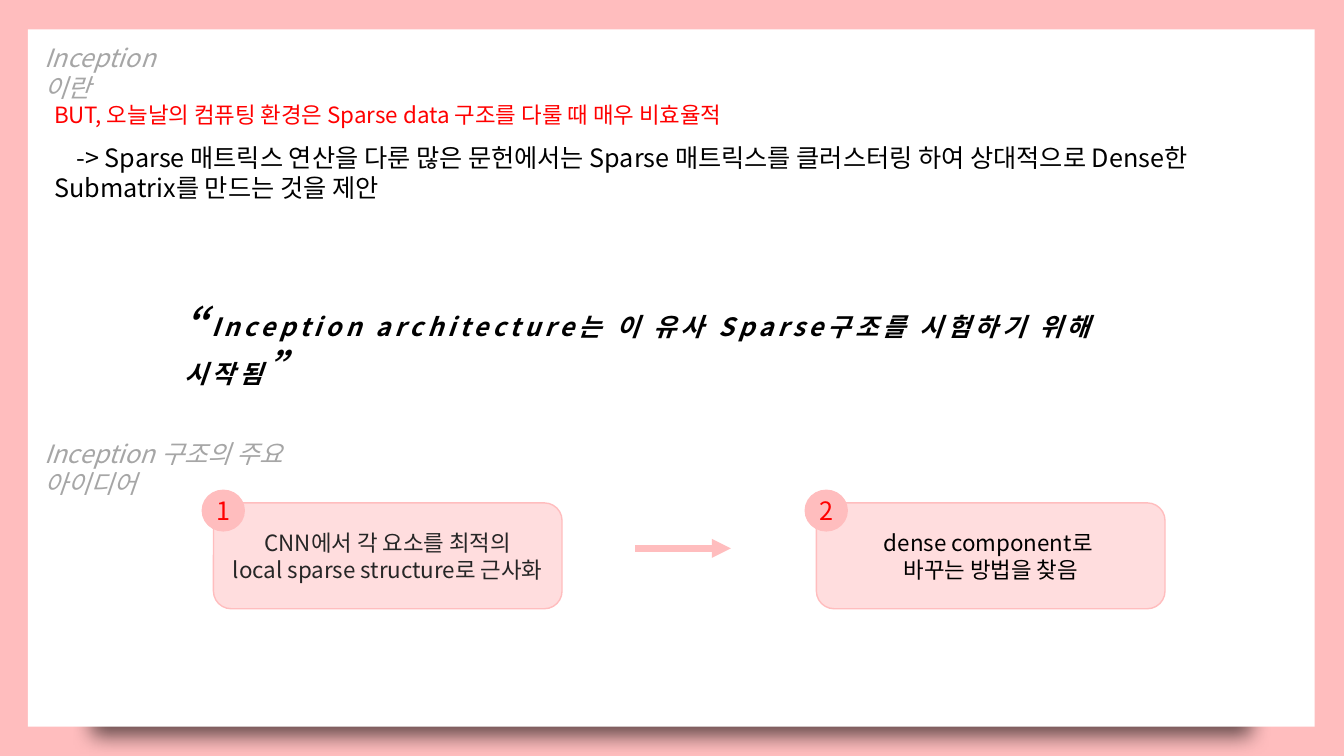
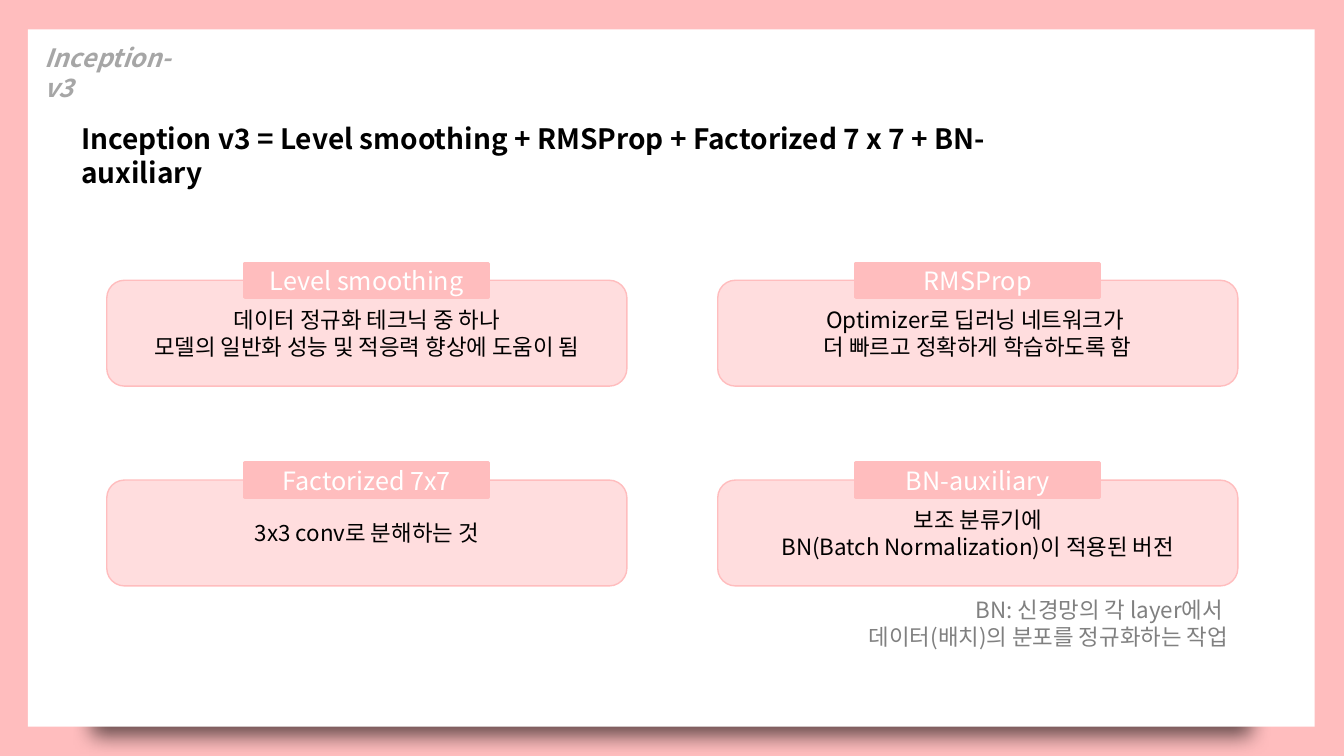
from lxml.etree import SubElement
from pptx import Presentation
from pptx.dml.color import RGBColor
from pptx.enum.shapes import MSO_CONNECTOR, MSO_SHAPE
from pptx.enum.text import MSO_ANCHOR, MSO_AUTO_SIZE, PP_ALIGN
from pptx.oxml.ns import qn
from pptx.util import Pt

FACE = "Noto Sans CJK KR"
HUES = {
    "rose": "FFBDBE", "blush": "FFDDDE", "white": "FFFFFF", "black": "000000",
    "dark": "262626", "red": "FF0000", "gray": "A6A6A6", "mid": "808080",
}
HEAD = {"size": Pt(18), "italic": True, "bold": False}
BODY = {"size": Pt(16)}
LARGE = {"size": Pt(18)}
QUOTE = {"size": Pt(18), "bold": True, "italic": True}
SHADE = {"blurRad": Pt(15), "dist": Pt(31), "dir": 5400000,
         "sx": 90000, "sy": 90000, "algn": "ctr", "rotWithShape": 0}


def hue(name):
    return RGBColor.from_string(HUES[name])


def place(shape, box):
    for key, val in zip(("left", "top", "width", "height"), box):
        setattr(shape, key, Pt(val))


def add_run(para, text, look, tint, track=0):
    run = para.add_run()
    run.text = text
    for key, val in look.items():
        setattr(run.font, key, val)
    run.font.color.rgb = hue(tint)
    run.font.name = FACE
    props = run.font._element
    SubElement(props, qn("a:ea")).set("typeface", FACE)
    if track:
        props.set("spc", str(track * 100))


def write(shape, lines, look, tint, align=PP_ALIGN.LEFT, anchor=MSO_ANCHOR.TOP):
    frame = shape.text_frame
    form = {"word_wrap": True, "auto_size": MSO_AUTO_SIZE.NONE,
            "vertical_anchor": anchor}
    for key, val in form.items():
        setattr(frame, key, val)
    for num, line in enumerate(lines):
        para = frame.add_paragraph() if num else frame.paragraphs[0]
        para.alignment = align
        add_run(para, line, look, tint)
    return frame


def label(slide, box, lines, look, tint, align=PP_ALIGN.LEFT):
    return write(slide.shapes.add_textbox(*map(Pt, box)), lines, look, tint, align)


def panel(slide, kind, box, fill, edge=None, width=1):
    shape = slide.shapes.add_shape(kind, *map(Pt, box))
    shape.shadow.inherit = False
    shape.fill.solid()
    shape.fill.fore_color.rgb = hue(fill)
    if edge:
        shape.line.color.rgb = hue(edge)
        shape.line.width = Pt(width)
    else:
        shape.line.fill.background()
    return shape


def filled(slide, kind, box, fill, lines, look, tint, width=1):
    shape = panel(slide, kind, box, fill, "rose", width)
    write(shape, lines, look, tint, PP_ALIGN.CENTER, MSO_ANCHOR.MIDDLE)
    return shape


# Shared page: white card with a soft shadow, gray title
def start(deck, title, width, bold=False):
    slide = deck.slides.add_slide(deck.slide_layouts[5])
    card = panel(slide, MSO_SHAPE.RECTANGLE, (20, 21, 919, 498), "white")
    glow = SubElement(card._element.spPr.find(qn("a:effectLst")), qn("a:outerShdw"))
    for key, val in SHADE.items():
        glow.set(key, str(int(val)) if key != "algn" else val)
    ink = SubElement(glow, qn("a:srgbClr"), val=HUES["black"])
    SubElement(ink, qn("a:alpha"), val="60000")
    slide.shapes._spTree.insert(2, card._element)
    place(slide.shapes.title, (24.5, 26.6, width, 29))
    write(slide.shapes.title, [title], {**HEAD, "bold": bold}, "gray")
    return slide


# Numbered idea box
def idea(slide, box, num, lines, tint):
    left, top = box[:2]
    filled(slide, MSO_SHAPE.ROUNDED_RECTANGLE, box, "blush", lines, BODY, tint)
    badge = filled(slide, MSO_SHAPE.OVAL, (left - 8, top - 9, 30, 29), "rose",
                   [num], LARGE, "red")
    for side in ("left", "right", "top", "bottom"):
        setattr(badge.text_frame, "margin_" + side, 0)


def arrow(slide, left, right, top):
    line = slide.shapes.add_connector(MSO_CONNECTOR.STRAIGHT,
                                      *map(Pt, (left, top, right, top)))
    line.line.color.rgb = hue("rose")
    line.line.width = Pt(4.5)
    SubElement(line.line._get_or_add_ln(), qn("a:tailEnd"), type="triangle")
    SubElement(line._element.spPr, qn("a:effectLst"))


# Box with a tag centred on its upper edge
def term(slide, box, name, lines):
    left, top, width, _ = box
    filled(slide, MSO_SHAPE.ROUNDED_RECTANGLE, box, "blush", lines, BODY, "black")
    tag = (left + (width - 174) / 2, top - 12.2, 174, 24.5)
    filled(slide, MSO_SHAPE.RECTANGLE, tag, "rose", [name], LARGE, "white", 2.25)


def concept(deck):
    slide = start(deck, "Inception이란", 121.7)
    # Problem and proposal
    label(slide, (31.7, 68.4, 664, 27),
          ["BUT, 오늘날의 컴퓨팅 환경은 Sparse data 구조를 다룰 때 매우 비효율적"],
          BODY, "red")
    frame = label(slide, (31.7, 98, 896.4, 51),
                  ["-> Sparse 매트릭스 연산을 다룬 많은 문헌에서는 Sparse 매트릭스를 "
                   "클러스터링 하여 상대적으로 Dense한 Submatrix를 만드는 것을 제안"],
                  LARGE, "black")
    frame.paragraphs[0]._p.get_or_add_pPr().set("indent", str(Pt(16)))
    # Quotation
    quote = label(slide, (124.6, 208.8, 710.6, 41), [], QUOTE, "black")
    for text, size in (
        ("“", 28),
        ("Inception architecture는 이 유사 Sparse구조를 시험하기 위해 시작됨", 18),
        ("”", 28),
    ):
        add_run(quote.paragraphs[0], text, {**QUOTE, "size": Pt(size)}, "black", 3)
    # Main ideas
    label(slide, (24.5, 309.6, 249, 29), ["Inception 구조의 주요 아이디어"], HEAD, "gray")
    ideas = (
        (["CNN에서 각 요소를 최적의", "local sparse structure로 근사화"], "dark"),
        (["dense component로 ", "바꾸는 방법을 찾음"], "black"),
    )
    for num, (lines, tint) in enumerate(ideas):
        idea(slide, (152.5 + 430.7 * num, 359.2, 249, 75.6), str(num + 1), lines, tint)
    arrow(slide, 453.6, 522, 391.7)


def version(deck):
    slide = start(deck, "Inception-v3", 119.5, True)
    label(slide, (51, 83.5, 734.4, 31.7),
          ["Inception v3 = Level smoothing + RMSProp + Factorized 7 x 7 + BN-auxiliary"],
          {"size": Pt(20), "bold": True}, "black")
    # Four terms in a grid
    terms = (
        ("Level smoothing", ["데이터 정규화 테크닉 중 하나",
                             "모델의 일반화 성능 및 적응력 향상에 도움이 됨"]),
        ("RMSProp", ["Optimizer로 딥러닝 네트워크가 ", "더 빠르고 정확하게 학습하도록 함"]),
        ("Factorized 7x7", ["3x3 conv로 분해하는 것"]),
        ("BN-auxiliary", ["보조 분류기에", "BN(Batch Normalization)이 적용된 버전"]),
    )
    for num, (name, lines) in enumerate(terms):
        row, col = divmod(num, 2)
        box = (76.3 + 436.4 * col, 200.2 + 142.7 * row, 371.5, 75.6)
        term(slide, box, name, lines)
    # Side note
    label(slide, (611.3, 422.6, 272.9, 46),
          ["BN: 신경망의 각 layer에서 ", "데이터(배치)의 분포를 정규화하는 작업"],
          BODY, "mid", PP_ALIGN.RIGHT)


def main():
    deck = Presentation()
    deck.slide_width, deck.slide_height = Pt(960), Pt(540)
    back = deck.slide_master.background.fill
    back.solid()
    back.fore_color.rgb = hue("rose")
    concept(deck)
    version(deck)
    deck.save("out.pptx")


if __name__ == "__main__":
    main()
